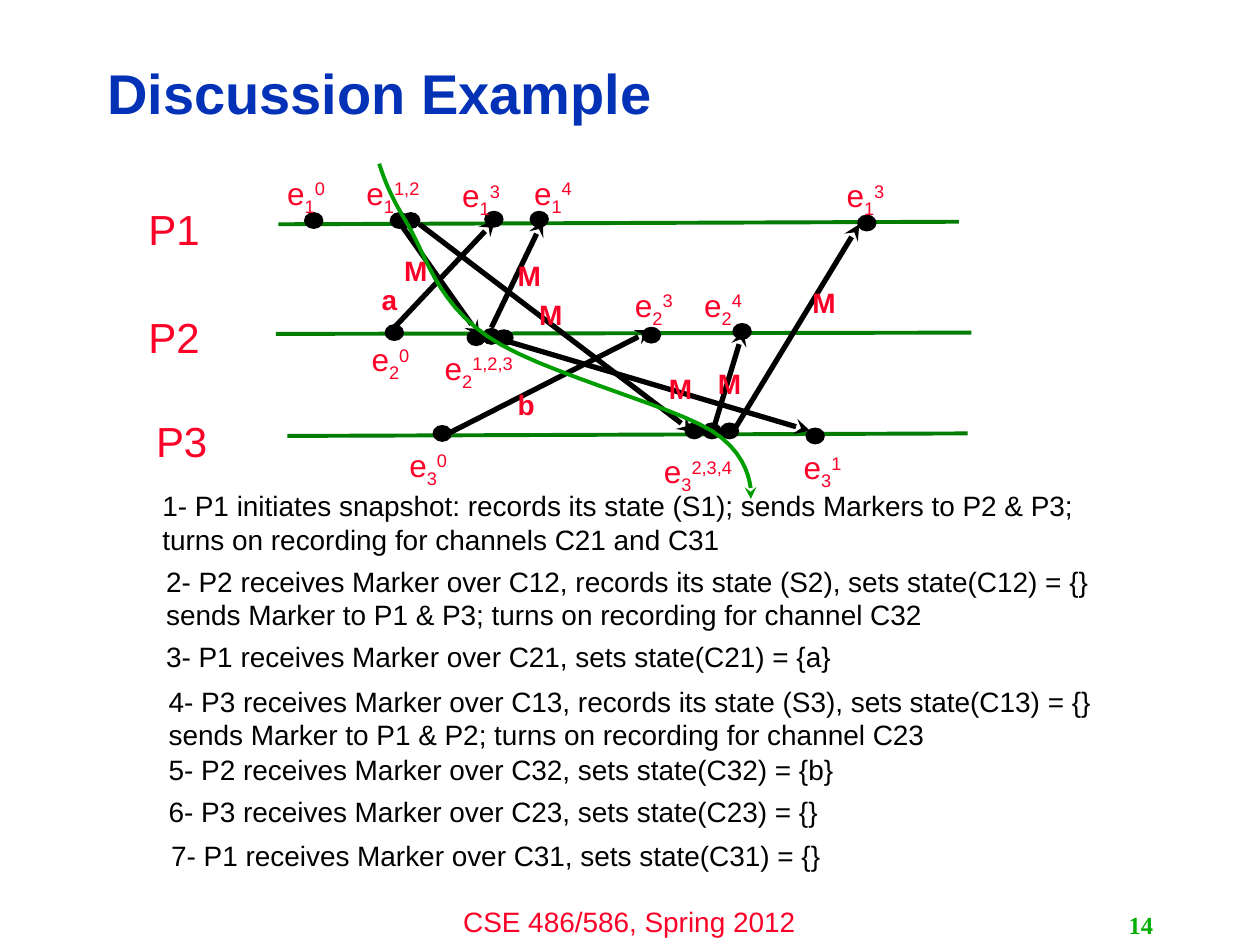
from dataclasses import dataclass
from lxml import etree
from pptx import Presentation
from pptx.dml.color import RGBColor
from pptx.enum.shapes import MSO_CONNECTOR, MSO_SHAPE
from pptx.enum.text import MSO_ANCHOR, PP_ALIGN
from pptx.oxml.ns import qn
from pptx.util import Inches, Pt

LINE, OVAL = MSO_CONNECTOR.STRAIGHT, MSO_SHAPE.OVAL
MIDDLE = MSO_ANCHOR.MIDDLE
LEFT, CENTER, RIGHT = PP_ALIGN.LEFT, PP_ALIGN.CENTER, PP_ALIGN.RIGHT


@dataclass(frozen=True)
class Theme:
    red: RGBColor = RGBColor(0xFC, 0x01, 0x28)
    blue: RGBColor = RGBColor(0x03, 0x32, 0xB7)
    black: RGBColor = RGBColor(0, 0, 0)
    timeline: RGBColor = RGBColor(0x03, 0x7C, 0x03)
    cut: RGBColor = RGBColor(0x00, 0x9D, 0x00)
    number: RGBColor = RGBColor(0x00, 0xAE, 0x00)
    title_size: int = 32
    process_size: int = 24
    event_size: int = 18
    text_size: int = 16
    number_size: int = 14


theme = Theme()
presentation = Presentation()
presentation.slide_width, presentation.slide_height = Inches(10), Inches(7.5)
slide = presentation.slides.add_slide(presentation.slide_layouts[5])
COLUMN = presentation.slide_width / 10
ROW = presentation.slide_height / 7.5


def write(shape, box, parts, size, color, bold=False, align=LEFT, font="Arial"):
    """Place a text shape and fill it with (text, baseline) parts."""
    scale = (COLUMN, ROW, COLUMN, ROW)
    for name, value, unit in zip(("left", "top", "width", "height"), box, scale):
        setattr(shape, name, round(value * unit))
    frame = shape.text_frame
    frame.word_wrap = True
    paragraph = frame.paragraphs[0]
    paragraph.alignment = align
    for text, baseline in parts:
        run = paragraph.add_run()
        run.text = text
        style = {"name": font, "size": Pt(size), "bold": bold}
        for key, value in style.items():
            setattr(run.font, key, value)
        run.font.color.rgb = color
        if baseline:
            run.font._element.set("baseline", str(baseline * 1000))
    return frame


def stroke(shape, color, width, arrow=False):
    """Give a line its colour, width and arrowhead, without a shadow."""
    shape.line.color.rgb = color
    shape.line.width = Pt(width)
    if arrow:
        etree.SubElement(shape.line._get_or_add_ln(), qn("a:tailEnd"), type="stealth")
    etree.SubElement(shape._element.spPr, qn("a:effectLst"))


# Title, footer and slide number
frame = write(slide.shapes.title, (0.75, 0.36, 7.98, 0.81),
              [("Discussion Example", 0)], theme.title_size, theme.blue, True)
frame.vertical_anchor = MIDDLE
frame.paragraphs[0].line_spacing = 0.9
write(slide.shapes.add_textbox(0, 0, 0, 0), (3.33, 7.13, 3.33, 0.37),
      [("CSE 486/586, Spring 2012", 0)], theme.text_size, theme.red, align=CENTER)
frame = write(slide.shapes.add_textbox(0, 0, 0, 0), (7.17, 7.18, 2.08, 0.32),
              [("14", 0)], theme.number_size, theme.number, True, RIGHT,
              "Times New Roman")
frame.vertical_anchor = MIDDLE

# Process timelines and message arrows: from x, y to x, y
timelines = [(2.21, 1.78, 7.61, 1.76), (2.19, 2.65, 7.71, 2.64),
             (2.28, 3.46, 7.68, 3.44)]
messages = [(3.11, 2.62, 3.93, 1.75), (3.5, 3.47, 5.17, 2.62),
            (3.18, 1.78, 3.81, 2.67), (3.33, 1.78, 5.5, 3.43),
            (3.9, 2.6, 4.31, 1.75), (4.03, 2.71, 6.43, 3.42),
            (5.67, 3.38, 5.9, 2.62), (5.81, 3.44, 6.82, 1.78)]
for lines, color, width, arrow in ((timelines, theme.timeline, 2.25, False),
                                   (messages, theme.black, 3, True)):
    for x1, y1, x2, y2 in lines:
        connector = slide.shapes.add_connector(
            LINE, round(x1 * COLUMN), round(y1 * ROW),
            round(x2 * COLUMN), round(y2 * ROW))
        stroke(connector, color, width, arrow)

# Event dots: left, top
dots = [(2.42, 1.69), (3.1, 1.69), (3.19, 1.69), (3.85, 1.68), (4.21, 1.68),
        (6.81, 1.71), (3.06, 2.58), (3.71, 2.62), (3.83, 2.61), (3.93, 2.62),
        (5.1, 2.6), (5.82, 2.57), (3.44, 3.38), (5.44, 3.36), (5.58, 3.36),
        (5.72, 3.36), (6.4, 3.4)]
for left, top in dots:
    dot = slide.shapes.add_shape(OVAL, round(left * COLUMN), round(top * ROW),
                                 round(0.14 * COLUMN), round(0.12 * ROW))
    dot.fill.solid()
    dot.fill.fore_color.rgb = theme.black
    stroke(dot, theme.black, 1)

# Process names
for name, left, top in (("P1", 1.08, 1.57), ("P2", 1.08, 2.42), ("P3", 1.14, 3.25)):
    write(slide.shapes.add_textbox(0, 0, 0, 0), (left, top, 1.26, 0.46),
          [(name, 0)], theme.process_size, theme.red)

# Event names: process, event numbers, left, top, width
events = [("1", "0", 2.18, 1.33, 0.61), ("1", "1,2", 2.81, 1.33, 0.69),
          ("1", "3", 3.57, 1.35, 0.61), ("1", "4", 4.14, 1.33, 0.61),
          ("1", "3", 6.62, 1.35, 0.61), ("2", "0", 2.85, 2.65, 0.61),
          ("2", "1,2,3", 3.43, 2.72, 0.82), ("2", "3", 4.94, 2.22, 0.61),
          ("2", "4", 5.49, 2.22, 0.61), ("3", "0", 3.15, 3.49, 0.61),
          ("3", "2,3,4", 5.17, 3.54, 0.88), ("3", "1", 6.28, 3.51, 0.61)]
for process, numbers, left, top, width in events:
    write(slide.shapes.add_textbox(0, 0, 0, 0), (left, top, width, 0.37),
          [("e", 0), (process, -25), (numbers, 30)], theme.event_size, theme.red)

# Message names
for name, left, top in (("a", 2.93, 2.19), ("b", 4.01, 3.03), ("M", 4.18, 2.31),
                        ("M", 3.11, 1.96), ("M", 4.01, 2), ("M", 5.21, 2.9),
                        ("M", 6.35, 2.22), ("M", 5.6, 2.86)):
    write(slide.shapes.add_textbox(0, 0, 0, 0), (left, top, 0.4, 0.34),
          [(name, 0)], theme.text_size, theme.red, True)

# Snapshot steps: left, top, width, text
steps = [
    (1.19, 3.83, 7.51, "P1 initiates snapshot: records its state (S1); sends Markers "
     "to P2 & P3; turns on recording for channels C21 and C31"),
    (1.22, 4.43, 7.65, "P2 receives Marker over C12, records its state (S2), sets "
     "state(C12) = {} sends Marker to P1 & P3; turns on recording for channel C32"),
    (1.22, 5.03, 7.65, "P1 receives Marker over C21, sets state(C21) = {a}"),
    (1.24, 5.38, 7.65, "P3 receives Marker over C13, records its state (S3), sets "
     "state(C13) = {} sends Marker to P1 & P2; turns on recording for channel C23"),
    (1.24, 5.92, 7.65, "P2 receives Marker over C32, sets state(C32) = {b}"),
    (1.24, 6.26, 7.65, "P3 receives Marker over C23, sets state(C23) = {}"),
    (1.26, 6.61, 7.65, "P1 receives Marker over C31, sets state(C31) = {}"),
]
for number, (left, top, width, text) in enumerate(steps, 1):
    height = 0.58 if len(text) > 60 else 0.34
    write(slide.shapes.add_textbox(0, 0, 0, 0), (left, top, width, height),
          [(f"{number}- {text}", 0)], theme.text_size, theme.black)

# Snapshot cut: Bezier segments sampled at equal steps
cut_points = [(3.01, 1.3), (3.05, 1.42), (3.09, 1.54), (3.23, 1.77), (3.37, 2),
              (3.46, 2.39), (3.87, 2.67), (4.27, 2.95), (5.31, 3.21),
              (5.65, 3.42), (6, 3.64), (5.96, 3.96), (5.96, 3.96)]
SAMPLES = 12
curve = []
for first in range(0, len(cut_points) - 1, 3):
    for sample in range(1, SAMPLES + 1):
        t = sample / SAMPLES
        weights = ((1 - t) ** 3, 3 * t * (1 - t) ** 2, 3 * t * t * (1 - t), t ** 3)
        segment = cut_points[first:first + 4]
        x, y = (sum(w * point[axis] for w, point in zip(weights, segment))
                for axis in (0, 1))
        curve.append((round(x * COLUMN), round(y * ROW)))
start_x, start_y = cut_points[0]
builder = slide.shapes.build_freeform(round(start_x * COLUMN), round(start_y * ROW))
builder.add_line_segments(curve, close=False)
cut = builder.convert_to_shape()
cut.fill.background()
stroke(cut, theme.cut, 2.25, True)

presentation.save("out.pptx")
